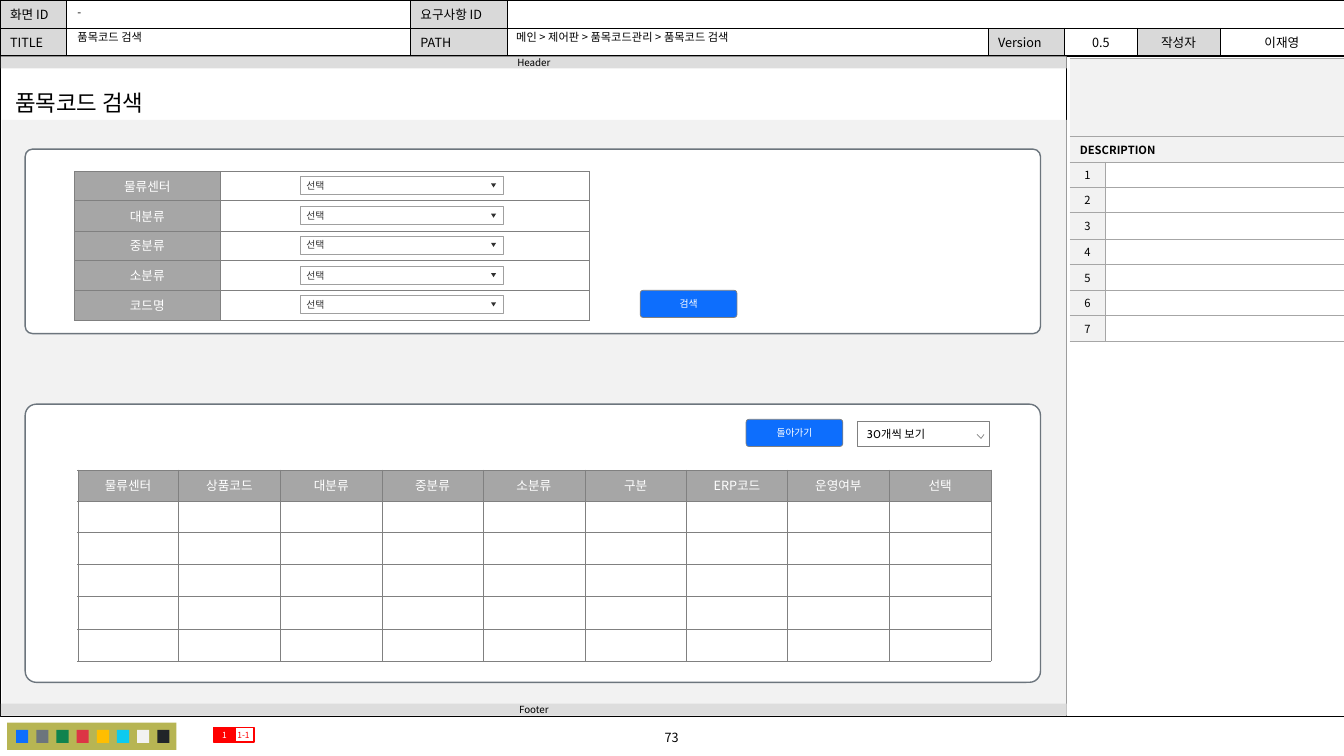
from collections.abc import Callable
from dataclasses import dataclass

from lxml.etree import SubElement
from pptx import Presentation
from pptx.dml.color import RGBColor
from pptx.enum.shapes import MSO_CONNECTOR, MSO_SHAPE
from pptx.enum.text import MSO_ANCHOR, MSO_AUTO_SIZE, PP_ALIGN
from pptx.oxml.ns import qn
from pptx.shapes.autoshape import Shape
from pptx.slide import Slide
from pptx.table import Table, _Cell
from pptx.text.text import TextFrame
from pptx.util import Emu, Pt

PX = 9144  # 100 px to the inch


@dataclass(frozen=True)
class Theme:
    sans: str = "Noto Sans CJK KR"
    control: str = "Cabin"
    black: str = "000000"
    white: str = "FFFFFF"
    label: str = "D9D9D9"
    canvas: str = "F2F2F2"
    bar: str = "DDDDDD"
    head: str = "A6A6A6"
    rule: str = "808080"
    field_line: str = "A0A0A0"
    field_text: str = "333333"
    arrow: str = "303030"
    panel_line: str = "6C757D"
    blue: str = "0D6EFD"
    red: str = "FF0000"
    olive: str = "B7B553"
    swatches: tuple[str, ...] = ("0D6EFD", "6C757D", "10834E", "DC3545",
                                 "FFBE00", "0DCAF0", "F2F2F2", "212529")
    title: int = 16
    body: int = 9
    note: int = 8
    small: int = 7
    tiny: int = 6


T = Theme()


@dataclass(frozen=True)
class Box:
    left: int
    top: int
    width: int
    height: int

    def emu(self) -> tuple[Emu, ...]:
        return tuple(Emu(v * PX) for v in (self.left, self.top, self.width, self.height))


@dataclass(frozen=True)
class Grid:
    left: int
    top: int
    cols: list[int]
    rows: list[int]
    texts: list[list[str]]
    shaded: Callable[[int, int], bool]
    centered: Callable[[int, int], bool]
    shade: str
    border: str
    border_pt: float
    color: str = T.black
    size: int = T.body
    margins: tuple[int, ...] = (5, 3, 5, 3)
    open_left: bool = False


def rgb(color: str) -> RGBColor:
    return RGBColor.from_string(color)


def shares(total: int, n: int) -> list[int]:
    """Split total into n nearly equal whole parts."""
    return [total * (i + 1) // n - total * i // n for i in range(n)]


def write(holder: TextFrame | _Cell, text: str, *, size: int = T.body, color: str = T.black,
          font: str = T.sans, centered: bool = False, spacing: float | None = None,
          margins: tuple[int, ...] = (10, 5, 10, 5)) -> None:
    holder.margin_left, holder.margin_top, holder.margin_right, holder.margin_bottom = (
        Emu(m * PX) for m in margins)
    holder.vertical_anchor = MSO_ANCHOR.MIDDLE
    tf = holder.text_frame if isinstance(holder, _Cell) else holder
    tf.word_wrap = True
    p = tf.paragraphs[0]
    p.alignment = PP_ALIGN.CENTER if centered else PP_ALIGN.LEFT
    p.space_before = Pt(0)
    if spacing:
        p.line_spacing = spacing
    if not text:
        p._p.get_or_add_endParaRPr().set("sz", str(size * 100))
        return
    r = p.add_run()
    r.text = text
    r.font.size, r.font.name, r.font.bold = Pt(size), font, False
    r.font.color.rgb = rgb(color)
    SubElement(r._r.get_or_add_rPr(), qn("a:ea"), typeface=font)


def add_box(s: Slide, box: Box, fill: str | None = None, line: str | None = None,
            line_pt: float = 0.5, kind: MSO_SHAPE = MSO_SHAPE.RECTANGLE,
            radius: float | None = None) -> Shape:
    sp = s.shapes.add_shape(kind, *box.emu())
    if radius is not None:
        sp.adjustments[0] = radius
    paint(sp, fill, line, line_pt)
    return sp


def paint(sp: Shape, fill: str | None, line: str | None, line_pt: float) -> None:
    sp.shadow.inherit = False
    if fill:
        sp.fill.solid()
        sp.fill.fore_color.rgb = rgb(fill)
    else:
        sp.fill.background()
    if line:
        sp.line.color.rgb, sp.line.width = rgb(line), Pt(line_pt)
    else:
        sp.line.fill.background()


def set_borders(cell: _Cell, color: str, width: float, skip: str = "") -> None:
    tcPr = cell._tc.get_or_add_tcPr()
    for side in "LRTB":
        ln = SubElement(tcPr, qn(f"a:ln{side}"), w=str(Pt(width)))
        if side == skip:
            SubElement(ln, qn("a:noFill"))
        else:
            SubElement(SubElement(ln, qn("a:solidFill")), qn("a:srgbClr"), val=color)


def add_grid(s: Slide, g: Grid) -> Table:
    box = Box(g.left, g.top, sum(g.cols), sum(g.rows))
    table = s.shapes.add_table(len(g.rows), len(g.cols), *box.emu()).table
    table.first_row = table.horz_banding = False
    for col, width in zip(table.columns, g.cols):
        col.width = Emu(width * PX)
    for i, height in enumerate(g.rows):
        table.rows[i].height = Emu(height * PX)
        for j in range(len(g.cols)):
            cell = table.cell(i, j)
            text = g.texts[i][j] if i < len(g.texts) and j < len(g.texts[i]) else ""
            write(cell, text, size=g.size, color=g.color, centered=g.centered(i, j),
                  margins=g.margins)
            set_borders(cell, g.border, g.border_pt, "L" if g.open_left and j == 0 else "")
            cell.fill.solid()
            cell.fill.fore_color.rgb = rgb(g.shade if g.shaded(i, j) else T.white)
    return table


def add_header(s: Slide) -> None:
    table = add_grid(s, Grid(
        0, 0, [66, 341, 96, 477, 76, 72, 82, 123], [28, 28],
        [["화면 ID", "", "요구사항 ID"],
         ["TITLE", "", "PATH", "", "Version", "0.5", "작성자", "이재영"]],
        shaded=lambda i, j: j % 2 == 0, centered=lambda i, j: j >= 5,
        shade=T.label, border=T.black, border_pt=0.5, margins=(10, 3, 10, 3)))
    table.cell(0, 3).merge(table.cell(0, 7))
    for text, box in (("-", Box(67, 1, 340, 23)), ("품목코드 검색", Box(67, 28, 338, 20))):
        write(s.shapes.add_textbox(*box.emu()).text_frame, text, size=T.note, spacing=0.9)


def add_frame(s: Slide) -> None:
    add_box(s, Box(0, 55, 1333, 656), line=T.black, line_pt=0.25)
    divider = s.shapes.add_connector(MSO_CONNECTOR.STRAIGHT, *(
        Emu(v * PX) for v in (1058, 56, 1058, 711)))
    divider.line.color.rgb, divider.line.width = rgb(T.black), Pt(0.5)
    SubElement(divider._element.spPr, qn("a:effectLst"))
    add_box(s, Box(2, 119, 1056, 591), T.canvas)
    for text, top in (("Footer", 698), ("Header", 56)):
        bar = add_box(s, Box(1, top, 1057, 12), T.bar)
        write(bar.text_frame, text, size=T.small, centered=True, margins=(0, 0, 0, 0))


def add_legend(s: Slide) -> None:
    add_box(s, Box(7, 717, 168, 27), T.olive)
    for i, color in enumerate(T.swatches):
        add_box(s, Box(16 + 20 * i, 724, 12, 13), color)
    for text, left, fill, color in (("1-1", 231, None, T.red), ("1", 212, T.red, T.white)):
        badge = add_box(s, Box(left, 722, 21, 14), fill, T.red, 1)
        write(badge.text_frame, text, size=T.tiny, color=color, centered=True,
              margins=(0, 0, 0, 0))
    page = s.shapes.add_textbox(*Box(537, 719, 258, 25).emu())
    write(page.text_frame, "73", centered=True)


def add_description(s: Slide) -> None:
    table = add_grid(s, Grid(
        1061, 58, [35, 237], [77, 26] + shares(178, 7),
        [[], ["DESCRIPTION"]] + [[str(n)] for n in range(1, 8)],
        shaded=lambda i, j: i < 2 or j == 0, centered=lambda i, j: i >= 2,
        shade=T.canvas, border=T.head, border_pt=0.5, size=T.note,
        margins=(10, 0, 10, 0), open_left=True))
    for i in range(2):
        table.cell(i, 0).merge(table.cell(i, 1))
    table.cell(1, 0).text_frame.paragraphs[0].runs[0].font.bold = True


def add_panel(s: Slide, top: int, height: int) -> None:
    add_box(s, Box(25, top, 1007, height), T.white, T.panel_line, 1,
            MSO_SHAPE.ROUNDED_RECTANGLE, 0.04)


def add_button(s: Slide, text: str, left: int, top: int) -> None:
    sp = add_box(s, Box(left, top, 96, 27), T.blue, T.rule, 0.5,
                 MSO_SHAPE.ROUNDED_RECTANGLE, 0.11)
    write(sp.text_frame, text, size=T.small, color=T.white, font=T.control, centered=True,
          margins=(11, 7, 11, 7))


def add_search(s: Slide) -> None:
    add_panel(s, 148, 183)
    add_button(s, "검색", 635, 288)
    labels = ["물류센터", "대분류", "중분류", "소분류", "코드명"]
    add_grid(s, Grid(
        74, 170, [144, 366], shares(148, len(labels)), [[label] for label in labels],
        shaded=lambda i, j: j == 0, centered=lambda i, j: True,
        shade=T.head, border=T.rule, border_pt=0.25, color=T.white))
    for i in range(len(labels)):
        top = 175 + (59 * i + 1) // 2
        field = add_box(s, Box(298, top, 201, 18), T.white, T.field_line)
        write(field.text_frame, "선택", size=T.small, color=T.field_text, font=T.control,
              margins=(6, 0, 14, 0))
        add_box(s, Box(487, top + 7, 5, 4), T.arrow, kind=MSO_SHAPE.FLOWCHART_MERGE)


def add_results(s: Slide) -> None:
    add_panel(s, 401, 276)
    heads = ["물류센터", "상품코드", "대분류", "중분류", "소분류", "구분", "ERP코드", "운영여부", "선택"]
    add_grid(s, Grid(
        77, 466, shares(906, len(heads)), [31] + shares(159, 5), [heads],
        shaded=lambda i, j: i == 0, centered=lambda i, j: True,
        shade=T.head, border=T.rule, border_pt=0.25, color=T.white))
    pager = add_box(s, Box(850, 418, 131, 25), T.white, T.rule)
    write(pager.text_frame, "30개씩 보기", size=T.note, font=T.control, margins=(10, 6, 28, 6))
    fb = s.shapes.build_freeform(976, 431, scale=PX)
    fb.add_line_segments([(973, 435), (969, 431)], close=False)
    paint(fb.convert_to_shape(), T.white, T.rule, 0.5)
    add_button(s, "돌아가기", 740, 416)


def fill_placeholder(s: Slide, sp: Shape, box: Box, text: str, size: int,
                     spacing: float) -> None:
    """Move a placeholder to its box, in front of the shapes drawn so far."""
    s.shapes._spTree.append(sp._element)
    sp.left, sp.top, sp.width, sp.height = box.emu()
    tf = sp.text_frame
    tf.auto_size = MSO_AUTO_SIZE.NONE
    pPr = tf.paragraphs[0]._p.get_or_add_pPr()
    pPr.set("marL", "0")
    pPr.set("indent", "0")
    SubElement(pPr, qn("a:buNone"))
    write(tf, text, size=size, spacing=spacing)


def main() -> None:
    prs = Presentation()
    prs.slide_width, prs.slide_height = Emu(1333 * PX), Emu(750 * PX)
    s = prs.slides.add_slide(prs.slide_layouts[1])
    add_header(s)
    add_frame(s)
    add_legend(s)
    add_description(s)
    add_search(s)
    add_results(s)
    fill_placeholder(s, s.shapes.title, Box(5, 83, 162, 37), "품목코드 검색", T.title, 1.0)
    fill_placeholder(s, s.placeholders[1], Box(502, 26, 474, 23),
                     "메인 > 제어판 > 품목코드관리 > 품목코드 검색", T.note, 0.9)
    prs.save("out.pptx")


if __name__ == "__main__":
    main()
